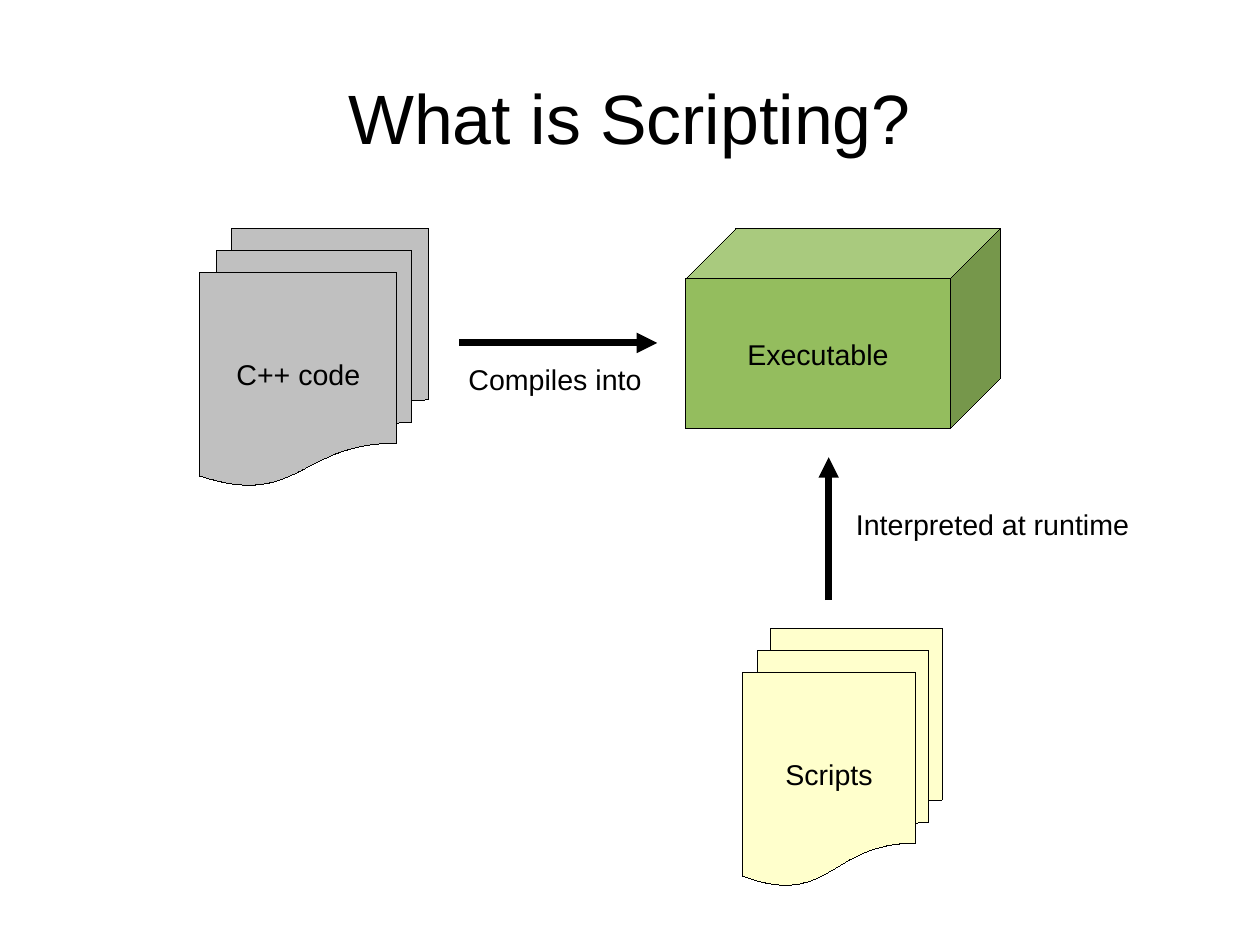
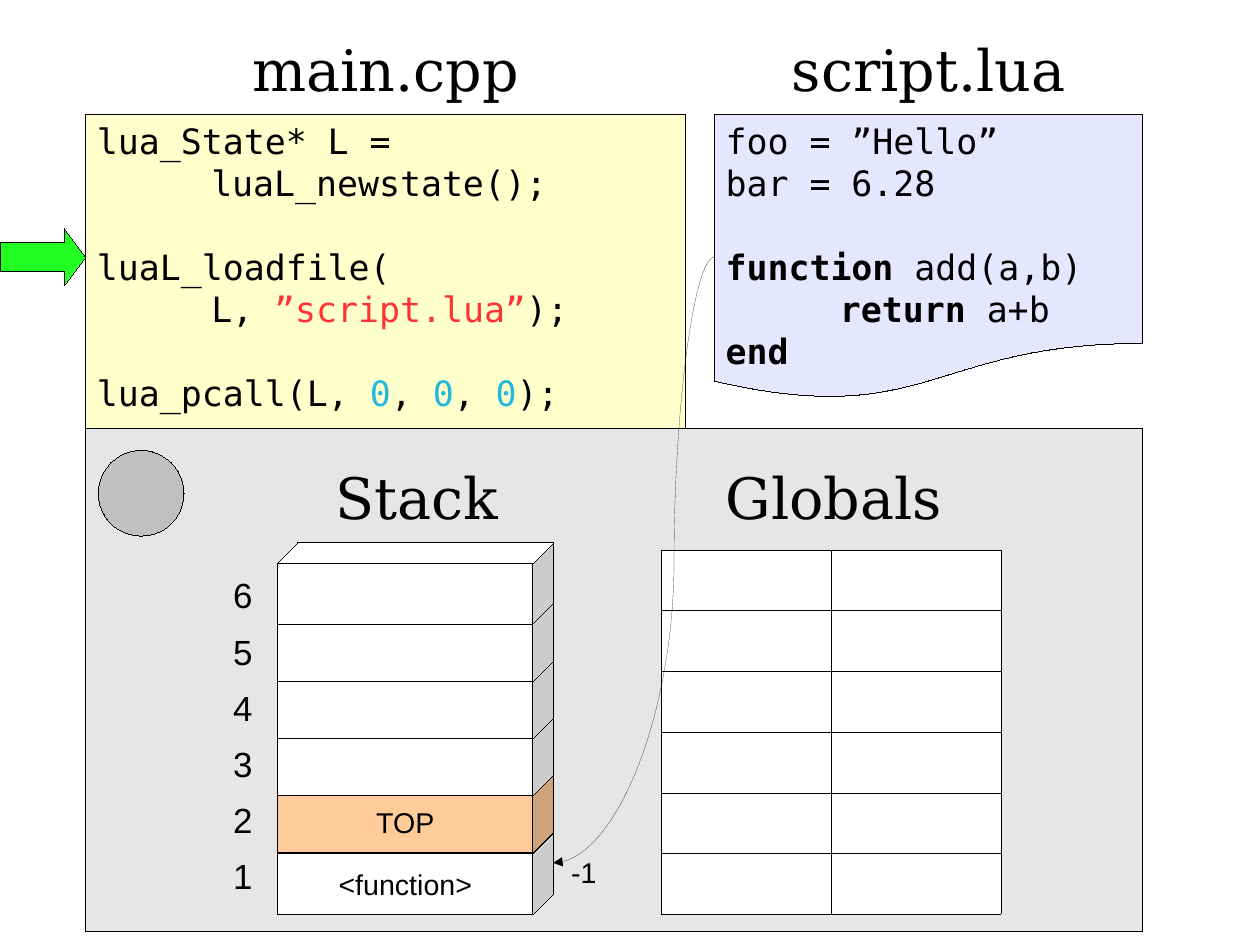
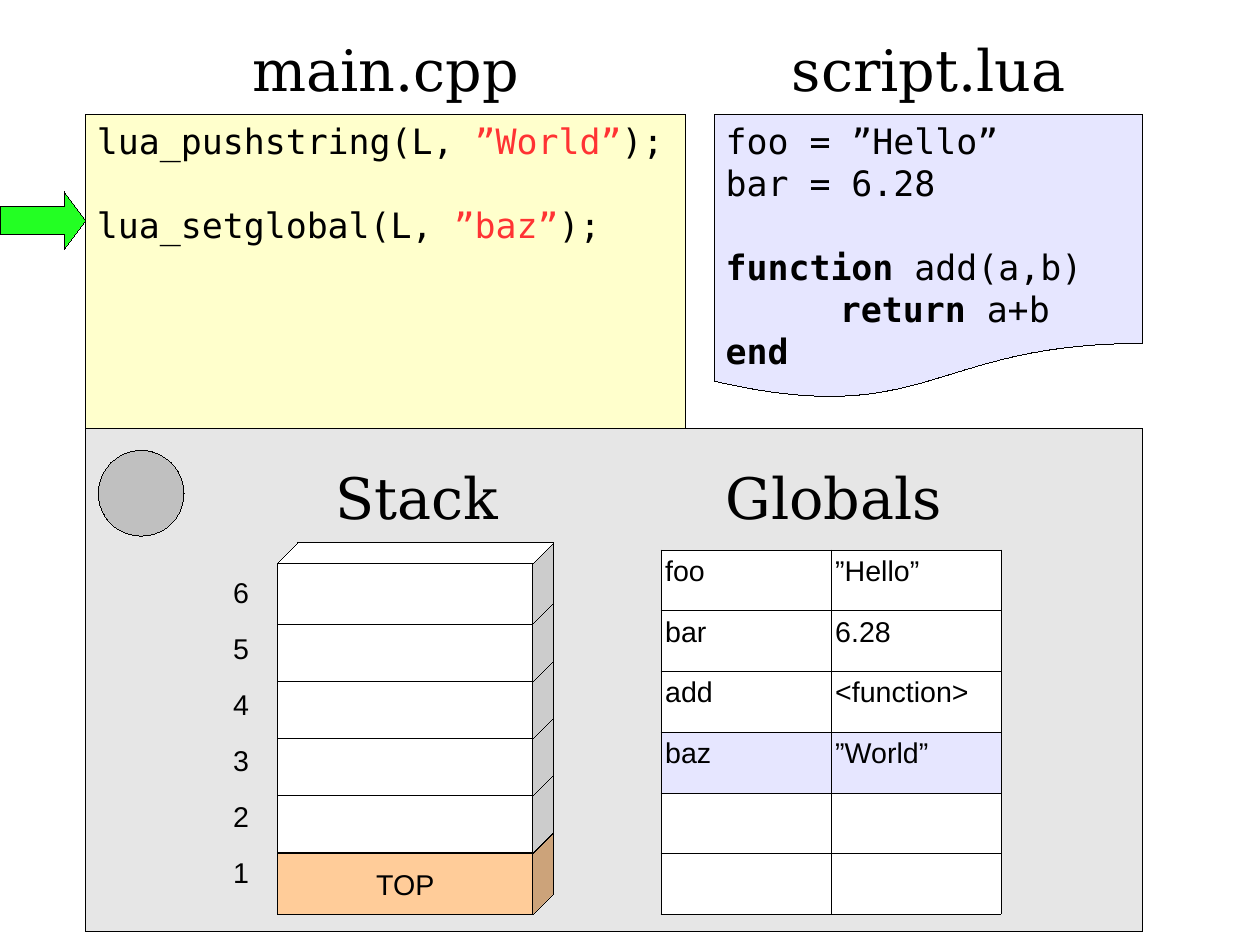
from lxml import etree
from pptx import Presentation
from pptx.dml.color import RGBColor
from pptx.enum.shapes import MSO_CONNECTOR, MSO_SHAPE
from pptx.enum.text import MSO_ANCHOR, PP_ALIGN
from pptx.oxml.ns import qn
from pptx.util import Cm, Inches, Pt

# Shared look
CELL = Inches(0.25)  # one grid column or row
HAIR = 0.01  # thinnest line, in points
BLACK = RGBColor(0x00, 0x00, 0x00)
WHITE = RGBColor(0xFF, 0xFF, 0xFF)
GREY = RGBColor(0xE6, 0xE6, 0xE6)
SILVER = RGBColor(0xC0, 0xC0, 0xC0)
CREAM = RGBColor(0xFF, 0xFF, 0xCC)
LILAC = RGBColor(0xE6, 0xE6, 0xFF)
PEACH = RGBColor(0xFF, 0xCC, 0x99)
LEAF = RGBColor(0x94, 0xBD, 0x5E)
GREEN = RGBColor(0x23, 0xFF, 0x23)
RED = RGBColor(0xFF, 0x33, 0x33)
BLUE = RGBColor(0x23, 0xB8, 0xDC)
LEFT, MID, RIGHT = PP_ALIGN.LEFT, PP_ALIGN.CENTER, PP_ALIGN.RIGHT
TOP, CENTRE = MSO_ANCHOR.TOP, MSO_ANCHOR.MIDDLE
RECT, CUBE, OVAL = MSO_SHAPE.RECTANGLE, MSO_SHAPE.CUBE, MSO_SHAPE.OVAL
PAGE, PAGES = MSO_SHAPE.FLOWCHART_DOCUMENT, MSO_SHAPE.FLOWCHART_MULTIDOCUMENT
ARROW = MSO_SHAPE.RIGHT_ARROW
LINE, CURVE = MSO_CONNECTOR.STRAIGHT, MSO_CONNECTOR.CURVE
LABEL = {"name": "Arial", "size": Pt(18)}
DIGIT = {"name": "Arial", "size": Pt(22)}
TITLE = {"name": "Arial", "size": Pt(44)}
HEAD = {"name": "DejaVu Serif", "size": Pt(36)}
CODE = {"name": "DejaVu Sans Mono", "size": Pt(22)}
GAP = Pt(26.4)  # one code line


def write(frame, lines, font, align=LEFT):
    """Fill a frame with a string, or with (gap, indent, runs) code lines."""
    if isinstance(lines, str):
        lines = [(0, 0, [(lines, BLACK, False)])]
    for i, (gap, indent, runs) in enumerate(lines):
        para = frame.add_paragraph() if i else frame.paragraphs[0]
        para.alignment = align
        if gap:
            para.space_before = gap * GAP
        if indent:
            para._p.get_or_add_pPr().set("marL", str(Inches(indent)))
        for text, tint, bold in runs:
            run = para.add_run()
            run.text = text
            for key, value in {**font, "bold": bold}.items():
                setattr(run.font, key, value)
            run.font.color.rgb = tint


def put(slide, kind, spot, fill=None, lines="", font=LABEL, align=MID, anchor=CENTRE):
    """Place a preset shape, or a text box when kind is None, on the grid."""
    spot = [int(n * CELL) for n in spot]
    if kind is None:
        shape = slide.shapes.add_textbox(*spot)
    else:
        shape = slide.shapes.add_shape(kind, *spot)
        shape.shadow.inherit = False
        shape.fill.solid()
        shape.fill.fore_color.rgb = fill
        shape.line.color.rgb = BLACK
        shape.line.width = Pt(HAIR)
    shape.text_frame.word_wrap = True
    shape.text_frame.vertical_anchor = anchor
    if lines:
        write(shape.text_frame, lines, font, align)
    return shape


deck = Presentation()
deck.slide_width, deck.slide_height = Cm(28), Cm(21)
wide, high = deck.slide_width, deck.slide_height

# Slide 1: from code to program
intro = deck.slides.add_slide(deck.slide_layouts[5])
title = intro.shapes.title
place = {"left": wide * 0.05, "top": high * 0.04, "width": wide * 0.9, "height": high / 6}
for key, value in place.items():
    setattr(title, key, int(value))
title.text_frame.vertical_anchor = CENTRE
write(title.text_frame, "What is Scripting?", TITLE, MID)

for kind, spot, fill, text in [
    (CUBE, (24, 8, 11, 7), LEAF, "Executable"),
    (PAGES, (7, 8, 8, 9), SILVER, "C++ code"),
    (PAGES, (26, 22, 7, 9), CREAM, "Scripts"),
]:
    put(intro, kind, spot, fill, text)
for spot, text in [
    ((16, 12.48, 7, 1.5), "Compiles into"),
    ((29.56, 17.56, 11, 1.5), "Interpreted at runtime"),
]:
    put(intro, None, spot, None, text, LABEL, LEFT, TOP)
links = [
    (intro, LINE, (16.08, 12), (23, 12), 4.31),
    (intro, LINE, (29, 21), (29, 16), 4.31),
]

# Slides 2 and 3: code above, stack and globals below
SCRIPT = [
    (0, 0, [("foo = ”Hello”", BLACK, False)]),
    (0, 0, [("bar = 6.28", BLACK, False)]),
    (1, 0, [("function", BLACK, True), (" add(a,b)", BLACK, False)]),
    (0, 1, [("return", BLACK, True), (" a+b", BLACK, False)]),
    (0, 0, [("end", BLACK, True)]),
]
ZERO, COMMA, CLOSE = ("0", BLUE, False), (", ", BLACK, False), (");", BLACK, False)
STEPS = [
    {
        "code": [
            (0, 0, [("lua_State* L =", BLACK, False)]),
            (0, 1, [("luaL_newstate();", BLACK, False)]),
            (1, 0, [("luaL_loadfile(", BLACK, False)]),
            (0, 1, [("L, ", BLACK, False), ("”script.lua”", RED, False), CLOSE]),
            (1, 0, [("lua_pcall(L, ", BLACK, False),
                    ZERO, COMMA, ZERO, COMMA, ZERO, CLOSE]),
        ],
        "mark": 8,
        "digit": DIGIT,
        "index": "-1",
        "stack": ["<function>", "TOP"],
        "vars": [],
    },
    {
        "code": [
            (0, 0, [("lua_pushstring(L, ", BLACK, False), ("”World”", RED, False), CLOSE]),
            (1, 0, [("lua_setglobal(L, ", BLACK, False), ("”baz”", RED, False), CLOSE]),
        ],
        "mark": 6.72,
        "digit": LABEL,
        "index": "",
        "stack": ["TOP"],
        "vars": [("foo", "”Hello”"), ("bar", "6.28"),
                 ("add", "<function>"), ("baz", "”World”")],
    },
]
ROWS = 6
DEEP = 2.84  # height of a stack cube

for step in STEPS:
    slide = deck.slides.add_slide(deck.slide_layouts[6])

    # Panels and headings
    put(slide, RECT, (3, 15, 37, 17.6), GREY)
    put(slide, PAGE, (25, 4, 15, 10), LILAC, SCRIPT, CODE, LEFT, TOP)
    for text, spot in {
        "script.lua": (25, 1, 15, 2.72),
        "main.cpp": (3, 1, 21, 2.72),
        "Stack": (10.6, 16, 8, 2.72),
        "Globals": (24.18, 16, 10, 3),
    }.items():
        put(slide, None, spot, None, text, HEAD, MID, TOP)

    # Tables: globals, then stack numbers
    pairs = step["vars"] + [("", "")] * (ROWS - len(step["vars"]))
    slots = [(str(n), "") for n in range(ROWS, 1, -1)] + [("1", step["index"])]
    for rows, spot, cols, edge, first in [
        (pairs, (23.12, 19.24, 11.9, 12.76), (5.95, 5.95), BLACK, LABEL),
        (slots, (8, 20, 13.04, 11.8), (6.08, 6.96), GREY, step["digit"]),
    ]:
        frame = slide.shapes.add_table(ROWS, 2, *[int(n * CELL) for n in spot])
        table = frame.table
        table.first_row = table.horz_banding = False
        for col, span in zip(table.columns, cols):
            col.width = int(span * CELL)
        for r, row in enumerate(rows):
            for c, text in enumerate(row):
                cell = table.cell(r, c)
                cell.margin_left = cell.margin_right = Inches(0.04)
                props = cell._tc.get_or_add_tcPr()
                for side in ("lnL", "lnR", "lnT", "lnB"):
                    rim = etree.SubElement(props, qn("a:" + side), w=str(Pt(0.06)))
                    tint = etree.SubElement(rim, qn("a:solidFill"))
                    etree.SubElement(tint, qn("a:srgbClr"), val=str(edge))
                cell.fill.solid()
                if rows is slots:
                    cell.fill.fore_color.rgb = GREY
                else:
                    cell.fill.fore_color.rgb = LILAC if row[0] == "baz" else WHITE
                if text:
                    write(cell.text_frame, text, LABEL if c else first,
                          RIGHT if text == "-1" else LEFT)

    # Stack, from the bottom up
    for n in range(ROWS):
        text = step["stack"][n] if n < len(step["stack"]) else ""
        top = 29 - 2 * n if n else 32 - DEEP
        put(slide, CUBE, (9.72, top, 9.64, DEEP), PEACH if text == "TOP" else WHITE, text)

    # Badge, code and marker
    put(slide, OVAL, (3.44, 15.76, 3, 3), SILVER)
    put(slide, RECT, (3, 4, 21, 11), CREAM, step["code"], CODE, LEFT, TOP)
    mark = put(slide, ARROW, (0, step["mark"], 3, 2), GREEN)
    mark.adjustments[1] = 0.375
    if step["index"]:
        links.append((slide, CURVE, (25, 9), (19.36, 30.2), HAIR))

# Arrows
for slide, kind, start, end, width in links:
    link = slide.shapes.add_connector(kind, *[int(n * CELL) for n in start + end])
    link.line.color.rgb = BLACK
    link.line.width = Pt(width)
    props = link._element.spPr
    etree.SubElement(props.find(qn("a:ln")), qn("a:tailEnd"), type="triangle")
    etree.SubElement(props, qn("a:effectLst"))
    if kind == CURVE:
        bends = props.find(qn("a:prstGeom")).find(qn("a:avLst"))
        etree.SubElement(bends, qn("a:gd"), name="adj1", fmla="val 25000")

deck.save("out.pptx")
